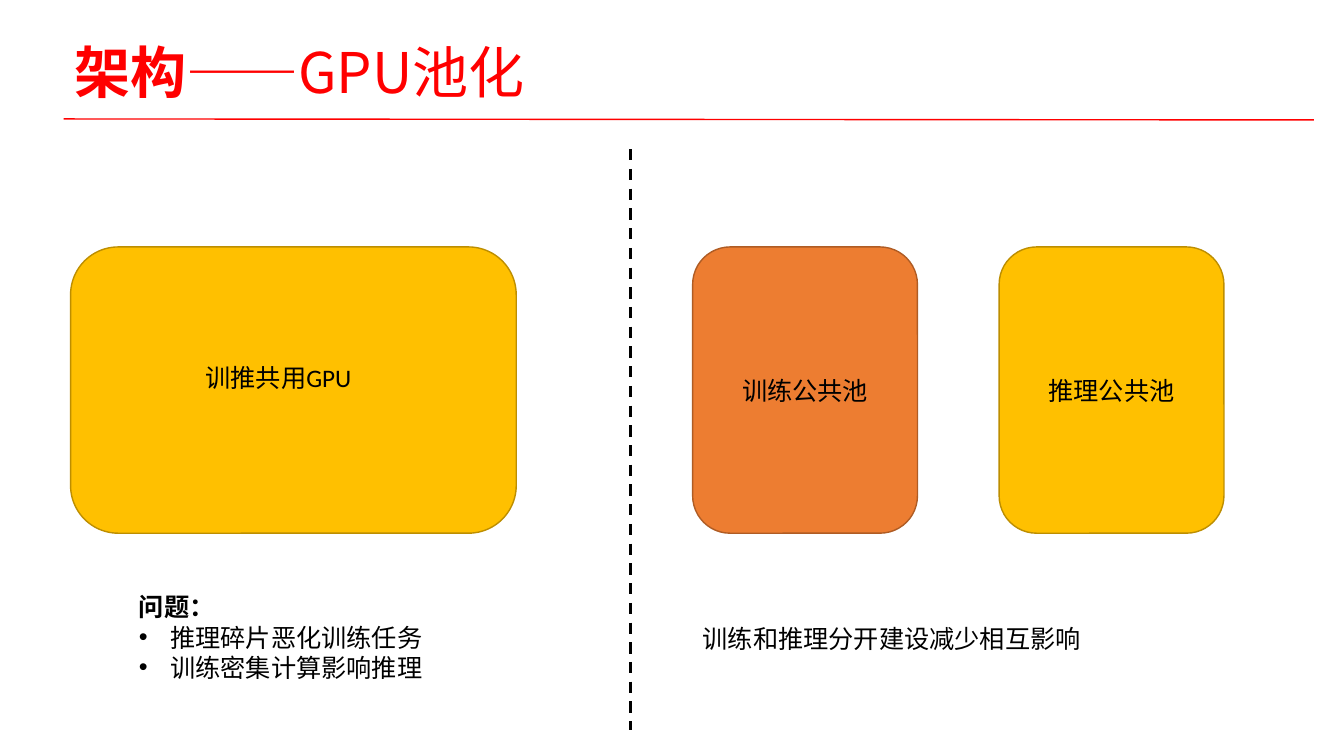
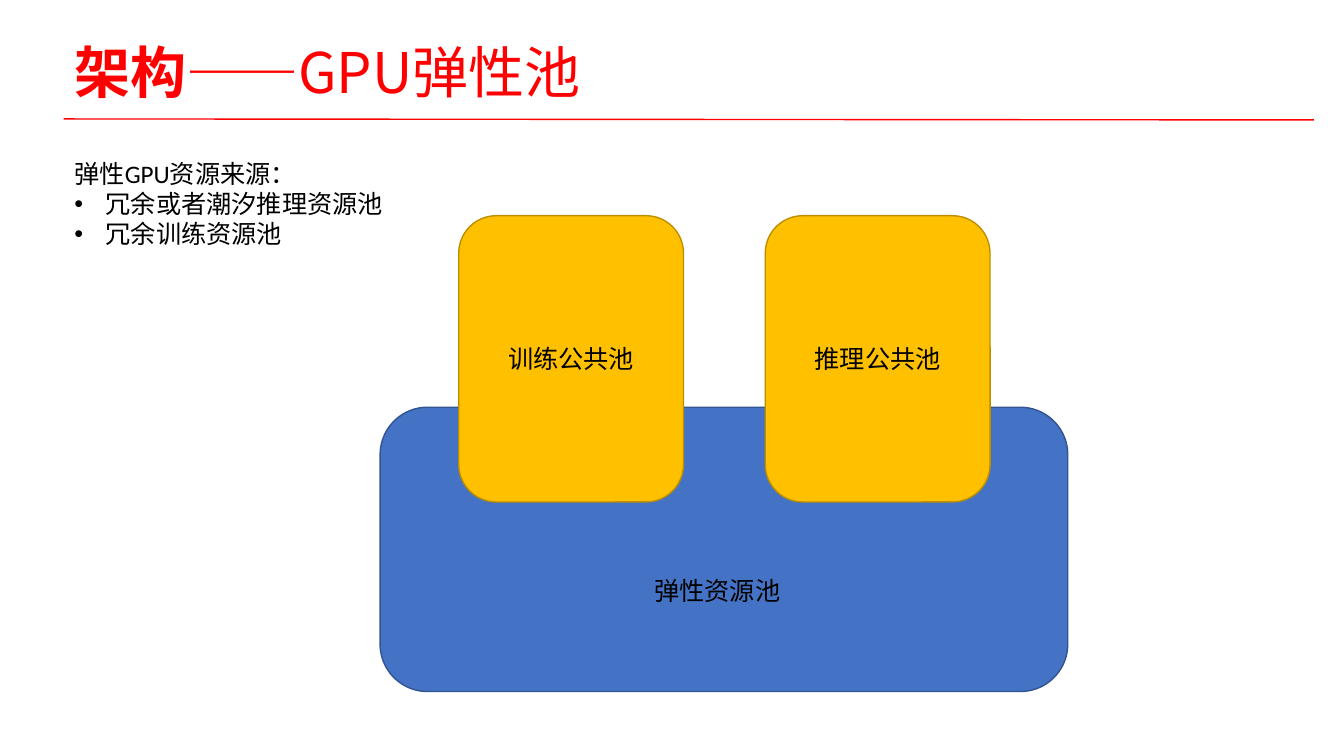
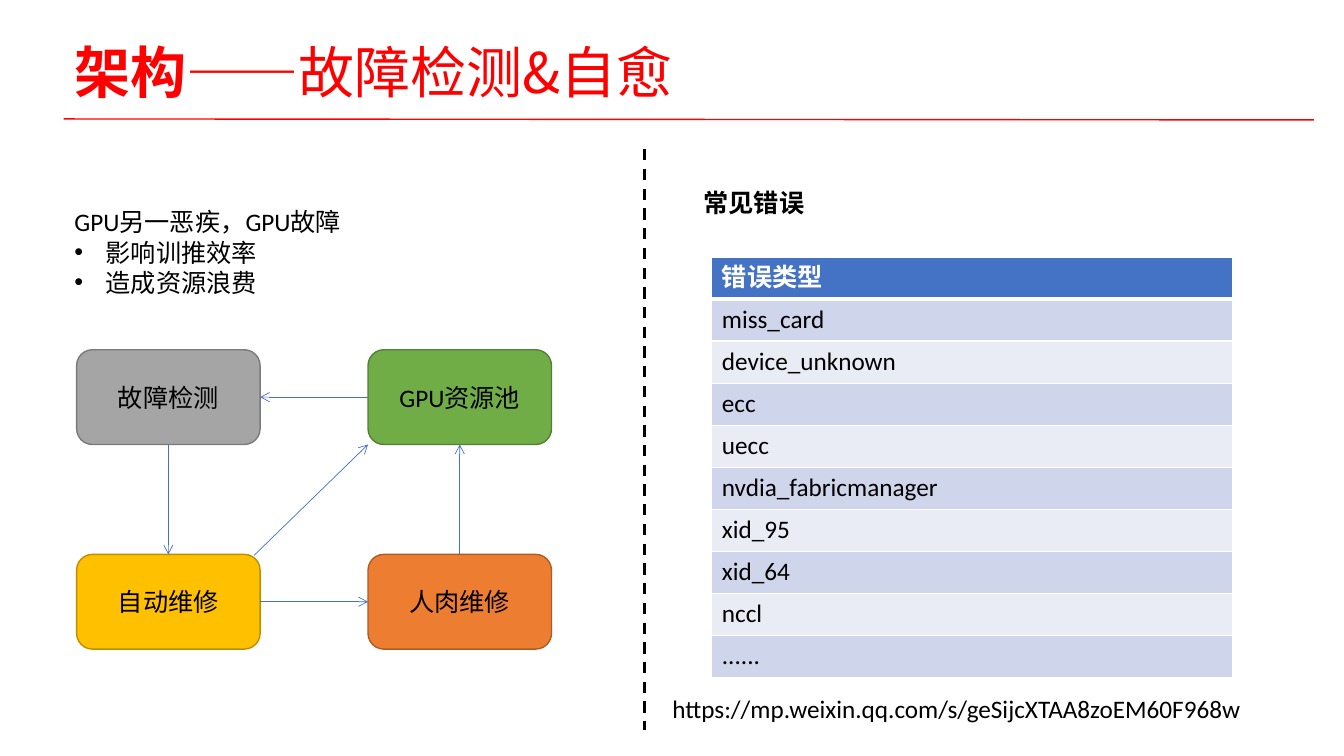
from dataclasses import dataclass

import pptx
import pptx.dml.color
import pptx.enum.dml
import pptx.enum.shapes
import pptx.enum.text
import pptx.oxml
import pptx.oxml.ns
import pptx.util
from lxml import etree
from pptx.presentation import Presentation
from pptx.shapes.autoshape import Shape
from pptx.shapes.connector import Connector
from pptx.slide import Slide
from pptx.table import _Cell
from pptx.text.text import _Run

EMU_PER_PX = 9144  # 100 px to the inch
COLORS = {
    "title": "FF0000", "text": "000000", "white": "FFFFFF",
    "yellow": "FFC000", "yellow_edge": "BD8E00",
    "orange": "ED7D31", "orange_edge": "AF5C24",
    "blue": "4472C4", "blue_edge": "325491",
    "gray": "A5A5A5", "gray_edge": "7A7A7A",
    "green": "70AD47", "green_edge": "538035",
    "band_dark": "CFD5EA", "band_light": "E9EBF5",
}
TITLE_FONT = "Noto Sans CJK SC"
BODY_FONT = "Calibri"
BODY_SIZE = 18
BULLET_INDENT = 31
TOP, LEFT, BOTTOM, RIGHT = range(4)  # connection sites of a rectangle


@dataclass(frozen=True)
class Box:
    left: int
    top: int
    width: int
    height: int
    color: str
    label: str = ""


@dataclass(frozen=True)
class Note:
    left: int
    top: int
    width: int
    height: int
    heading: str
    bullets: tuple[str, ...] = ()
    bold_heading: bool = False
    wrap: bool = False


def px(length: int) -> pptx.util.Emu:
    return pptx.util.Emu(length * EMU_PER_PX)


def rgb(name: str) -> pptx.dml.color.RGBColor:
    return pptx.dml.color.RGBColor.from_string(COLORS[name])


def add_element(parent: etree._Element, tag: str, **attributes: str) -> etree._Element:
    return etree.SubElement(parent, pptx.oxml.ns.qn(tag), attributes)


def format_run(run: _Run, color: str = "text", size: int = BODY_SIZE,
               name: str = BODY_FONT, bold: bool = False) -> None:
    """Set the same typeface for Latin and Chinese text."""
    run.font.size = pptx.util.Pt(size)
    run.font.bold = bold
    run.font.color.rgb = rgb(color)
    run.font.name = name
    properties = run.font._element
    properties.set("lang", "zh-CN")
    add_element(properties, "a:ea", typeface=name)


def add_line(slide: Slide, start: tuple[int, int], end: tuple[int, int],
             color: str, width: float) -> Connector:
    line = slide.shapes.add_connector(
        pptx.enum.shapes.MSO_CONNECTOR.STRAIGHT, *map(px, start + end))
    line.line.color.rgb = rgb(color)
    line.line.width = pptx.util.Pt(width)
    add_element(line._element.spPr, "a:effectLst")
    return line


def add_arrow(slide: Slide, start: tuple[int, int], end: tuple[int, int]) -> Connector:
    arrow = add_line(slide, start, end, "blue", 0.5)
    add_element(arrow.line._get_or_add_ln(), "a:tailEnd", type="arrow")
    return arrow


def link(slide: Slide, source: Shape, source_site: int,
         target: Shape, target_site: int) -> None:
    """Draw an arrow glued to two shapes."""
    arrow = add_arrow(slide, (0, 0), (0, 0))
    arrow.begin_connect(source, source_site)
    arrow.end_connect(target, target_site)


def add_divider(slide: Slide, left: int) -> None:
    divider = add_line(slide, (left, 148), (left, 724), "text", 2)
    divider.line.dash_style = pptx.enum.dml.MSO_LINE.DASH


def add_box(slide: Slide, box: Box) -> Shape:
    shape = slide.shapes.add_shape(
        pptx.enum.shapes.MSO_SHAPE.ROUNDED_RECTANGLE,
        px(box.left), px(box.top), px(box.width), px(box.height))
    shape.shadow.inherit = False
    shape.fill.solid()
    shape.fill.fore_color.rgb = rgb(box.color)
    shape.line.color.rgb = rgb(f"{box.color}_edge")
    shape.line.width = pptx.util.Pt(1)
    if box.label:
        text_frame = shape.text_frame
        text_frame.text = box.label
        text_frame.word_wrap = False
        text_frame.vertical_anchor = pptx.enum.text.MSO_ANCHOR.MIDDLE
        paragraph = text_frame.paragraphs[0]
        paragraph.alignment = pptx.enum.text.PP_ALIGN.CENTER
        format_run(paragraph.runs[0])
    return shape


def add_note(slide: Slide, note: Note) -> None:
    """Add a heading with optional bullets below it."""
    text_box = slide.shapes.add_textbox(
        px(note.left), px(note.top), px(note.width), px(note.height))
    text_frame = text_box.text_frame
    text_frame.text = "\n".join((note.heading, *note.bullets))
    text_frame.word_wrap = note.wrap
    text_frame.auto_size = pptx.enum.text.MSO_AUTO_SIZE.SHAPE_TO_FIT_TEXT
    for index, paragraph in enumerate(text_frame.paragraphs):
        if index:
            properties = paragraph._p.get_or_add_pPr()
            properties.set("marL", str(px(BULLET_INDENT)))
            properties.set("indent", str(px(-BULLET_INDENT)))
            add_element(properties, "a:buFont", typeface="Arial")
            add_element(properties, "a:buChar", char="•")
        format_run(paragraph.runs[0], bold=note.bold_heading and index == 0)


def add_title(slide: Slide, topic: str) -> None:
    title = slide.shapes.add_textbox(px(64), px(29), px(1150), px(91))
    text_frame = title.text_frame
    text_frame.word_wrap = True
    text_frame.vertical_anchor = pptx.enum.text.MSO_ANCHOR.MIDDLE
    paragraph = text_frame.paragraphs[0]
    paragraph.line_spacing = 0.9
    for text, bold in (("架构", True), (f"——{topic}", False)):
        run = paragraph.add_run()
        run.text = text
        format_run(run, "title", 40, TITLE_FONT, bold)
    add_line(slide, (63, 118), (1303, 119), "title", 1)


def new_slide(presentation: Presentation) -> Slide:
    return presentation.slides.add_slide(presentation.slide_layouts[6])


def add_pools(slide: Slide, left: int, top: int, training_color: str) -> None:
    """Add the training and inference pools side by side."""
    pools = (("训练公共池", training_color), ("推理公共池", "yellow"))
    for index, (label, color) in enumerate(pools):
        add_box(slide, Box(left + index * 304, top, 223, 284, color, label))


def set_borders(cell: _Cell, top: int, bottom: int) -> None:
    """Give a cell white borders, with the widths of top and bottom in points."""
    properties = cell._tc.get_or_add_tcPr()
    for side, width in (("L", 1), ("R", 1), ("T", top), ("B", bottom)):
        border = add_element(properties, f"a:ln{side}", w=str(pptx.util.Pt(width)))
        fill = add_element(border, "a:solidFill")
        add_element(fill, "a:srgbClr", val=COLORS["white"])


def add_error_table(slide: Slide) -> None:
    rows = ("错误类型", "miss_card", "device_unknown", "ecc", "uecc",
            "nvdia_fabricmanager", "xid_95", "xid_64", "nccl", "......")
    table = slide.shapes.add_table(
        len(rows), 1, px(706), px(255), px(517), px(417)).table
    table.horz_banding = False
    for index, text in enumerate(rows):
        header = index == 0
        cell = table.cell(index, 0)
        cell.text_frame.text = text
        set_borders(cell, 3 if index == 1 else 1, 3 if header else 1)
        cell.fill.solid()
        band = "band_dark" if index % 2 else "band_light"
        cell.fill.fore_color.rgb = rgb("blue" if header else band)
        format_run(cell.text_frame.paragraphs[0].runs[0],
                   "white" if header else "text", bold=header)


def build_pooling(presentation: Presentation) -> None:
    slide = new_slide(presentation)
    add_title(slide, "GPU池化")
    add_box(slide, Box(70, 245, 442, 284, "yellow"))
    add_note(slide, Note(194, 355, 173, 40, "训推共用GPU"))
    add_divider(slide, 625)
    add_pools(slide, 687, 245, "orange")
    add_note(slide, Note(128, 582, 301, 101, "问题：",
                         ("推理碎片恶化训练任务", "训练密集计算影响推理"),
                         bold_heading=True))
    add_note(slide, Note(687, 613, 395, 40, "训练和推理分开建设减少相互影响"))


def build_elastic_pool(presentation: Presentation) -> None:
    slide = new_slide(presentation)
    add_box(slide, Box(377, 404, 682, 282, "blue"))
    add_title(slide, "GPU弹性池")
    add_pools(slide, 455, 214, "yellow")
    add_note(slide, Note(639, 566, 145, 40, "弹性资源池"))
    add_note(slide, Note(64, 152, 326, 101, "弹性GPU资源来源：",
                         ("冗余或者潮汐推理资源池", "冗余训练资源池")))


def build_self_healing(presentation: Presentation) -> None:
    slide = new_slide(presentation)
    add_title(slide, "故障检测&自愈")
    add_note(slide, Note(64, 200, 301, 101, "GPU另一恶疾，GPU故障",
                         ("影响训推效率", "造成资源浪费"), wrap=True))

    steps = (("故障检测", "gray"), ("GPU资源池", "green"),
             ("自动维修", "yellow"), ("人肉维修", "orange"))
    detection, gpu_pool, auto_repair, manual_repair = (
        add_box(slide, Box(76 + index % 2 * 289, 347 + index // 2 * 203,
                           182, 94, color, label))
        for index, (label, color) in enumerate(steps))
    link(slide, detection, BOTTOM, auto_repair, TOP)
    link(slide, auto_repair, RIGHT, manual_repair, LEFT)
    link(slide, manual_repair, TOP, gpu_pool, BOTTOM)
    link(slide, gpu_pool, LEFT, detection, RIGHT)
    add_arrow(slide, (252, 551), (365, 441))

    add_divider(slide, 639)
    add_note(slide, Note(688, 181, 120, 40, "常见错误", bold_heading=True))
    add_error_table(slide)
    add_note(slide, Note(657, 683, 646, 40,
                         "https://mp.weixin.qq.com/s/geSijcXTAA8zoEM60F968w",
                         wrap=True))


def main() -> None:
    presentation = pptx.Presentation()
    presentation.slide_width = px(1333)
    presentation.slide_height = px(750)
    build_pooling(presentation)
    build_elastic_pool(presentation)
    build_self_healing(presentation)
    presentation.save("out.pptx")


if __name__ == "__main__":
    main()
